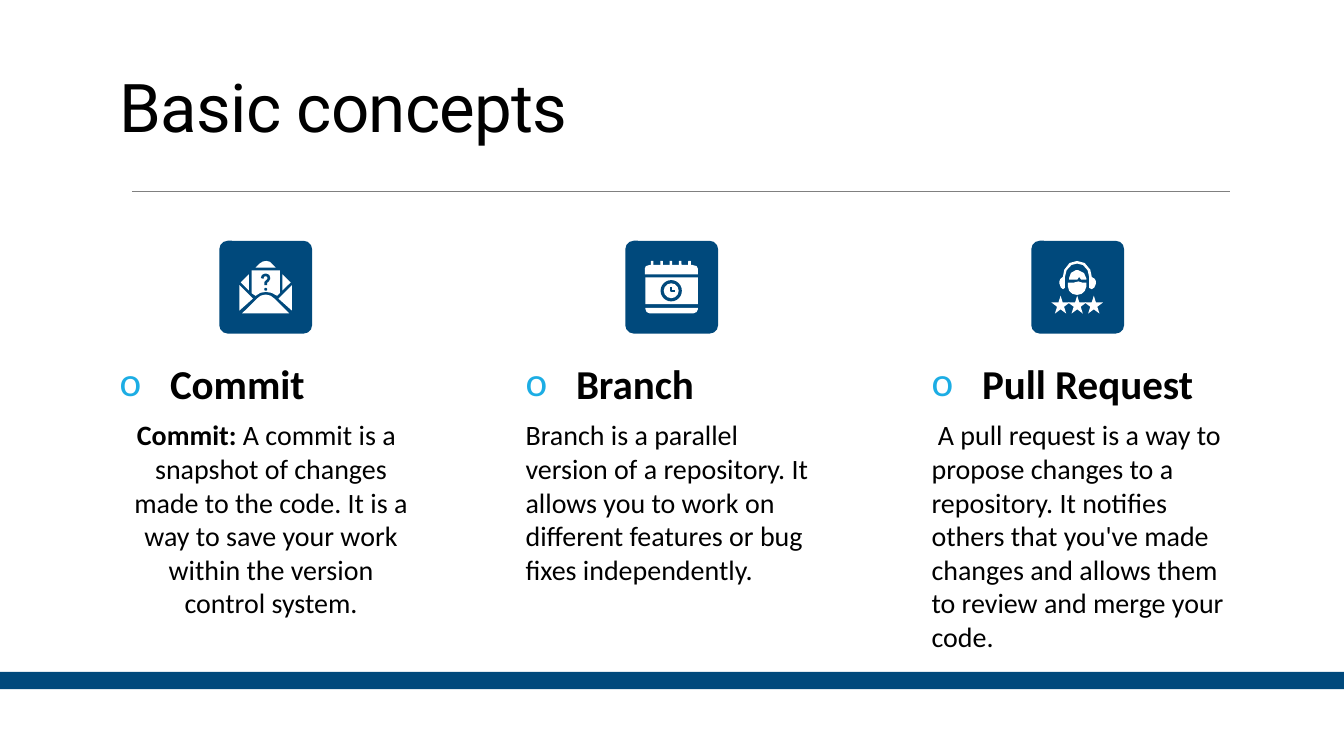
"""Build the "Basic concepts" slide with three icon columns."""
from lxml import etree
from pptx import Presentation
from pptx.dml.color import RGBColor
from pptx.enum.shapes import MSO_CONNECTOR, MSO_SHAPE
from pptx.enum.text import MSO_ANCHOR, MSO_AUTO_SIZE, PP_ALIGN
from pptx.oxml.ns import qn
from pptx.util import Pt

RECT, ROUND = MSO_SHAPE.RECTANGLE, MSO_SHAPE.ROUNDED_RECTANGLE
OVAL, STAR = MSO_SHAPE.OVAL, MSO_SHAPE.STAR_5_POINT
STRAIGHT = MSO_CONNECTOR.STRAIGHT
TOP, BOTTOM = MSO_ANCHOR.TOP, MSO_ANCHOR.BOTTOM
LEFT, CENTER = PP_ALIGN.LEFT, PP_ALIGN.CENTER
NO_FIT = MSO_AUTO_SIZE.NONE

COLORS = {"navy": "00497C", "white": "FFFFFF", "black": "000000",
          "grey": "808080", "bullet": "1CADE4"}
COL_LEFT, COL_STEP, COL_WIDTH = 57, 217.5, 171.5
TILE_OFFSET, TILE_TOP, TILE_SIZE = 60.5, 129, 49.7

TITLE = {"name": "Roboto", "size": Pt(36), "bold": False}
HEADING = {"name": "Calibri", "size": Pt(22), "bold": True}
BODY = {"name": "Calibri", "size": Pt(15), "bold": False}
BODY_BOLD = {**BODY, "bold": True}

ENVELOPE = [
    [(17.3, 15.8), (32.4, 15.8), (32.4, 28.1), (31, 29.5), (28, 27.9),
     (24.9, 27.4), (22, 27.9), (19.4, 29.5), (17.3, 28.1)],
    [(38.9, 23.8), (31.7, 31), (38.9, 37.4)],
    [(10.8, 23.8), (18, 31), (10.8, 37.4)],
    [(12.2, 38.9), (20.2, 31), (22.2, 29.4), (24.8, 28.8), (27.4, 29.4),
     (29.5, 31), (37.4, 38.9)],
    [(15.8, 18), (11.5, 22.3), (15.8, 26.6)],
    [(33.8, 18), (38.2, 22.3), (33.8, 26.6)],
    [(19.4, 14.4), (21.6, 12.2), (23.3, 11.1), (25.2, 10.8), (27, 11.2),
     (28.1, 12.2), (30.2, 14.4)],
]
QUESTION = [(22.9, 20.2), (23.4, 18.8), (24.8, 18.2), (26.2, 18.8),
            (26.6, 20.2), (25.9, 21.4), (24.9, 22.2), (24.9, 23.8)]
CALENDAR = [
    [(10.8, 36), (38.9, 36), (38.9, 36.7), (38.2, 38.2), (36.5, 38.9),
     (13, 38.9), (11.4, 38.2), (10.8, 36.7)],
    [(10.4, 18), (10.4, 15.1), (11, 13.6), (13, 13), (36, 13),
     (38.2, 13.6), (38.9, 15.1), (38.9, 18)],
]
CLOCK_HANDS = [(24.5, 24.9), (24.5, 26.8), (26.6, 26.8)]
AGENT = [
    [(16.9, 19.4), (17.7, 15.5), (20.5, 11.9), (24.5, 10.8), (28.6, 11.9),
     (31.6, 15.5), (32.4, 19.4), (34, 20.4), (34.6, 21.6), (34.6, 23),
     (33.8, 25), (32.4, 25.9), (31, 25.2), (31, 19.4), (30.2, 15.8),
     (27.7, 13), (24.5, 12.2), (21.5, 13), (18.9, 15.8), (18, 19.4),
     (18, 25.2), (17, 25.9), (15.8, 25), (15.1, 23), (15.1, 21.6),
     (15.6, 20.4)],
    [(20.2, 20.9), (20.2, 20.2), (21.2, 17.3), (23.8, 15.8), (25.2, 15.8),
     (28.2, 17.3), (29.5, 20.2), (29.5, 20.9), (26.8, 20.9), (25.6, 19.4),
     (24.6, 20.9)],
    [(19.6, 22.5), (22.5, 22.5), (25.2, 21.8), (27.5, 22.5), (29.5, 22.5),
     (29.5, 24.5), (28.7, 26.9), (26.9, 28.5), (24.5, 29), (22.1, 28.5),
     (20.3, 26.9), (19.6, 24.5)],
]

COLUMNS = [
    ("Commit", [("Commit:", BODY_BOLD),
                (" A commit is a snapshot of changes made to the code. It is a "
                 "way to save your work within the version control system.", BODY)],
     CENTER),
    ("Branch", [("Branch is a parallel version of a repository. It allows you to "
                 "work on different features or bug fixes independently.", BODY)],
     LEFT),
    ("Pull Request", [(" A pull request is a way to propose changes to a "
                       "repository. It notifies others that you've made changes "
                       "and allows them to review and merge your code.", BODY)],
     LEFT),
]


def rgb(name):
    return RGBColor.from_string(COLORS[name])


def place(sp, *box):
    for attr, value in zip(("left", "top", "width", "height"), box):
        setattr(sp, attr, Pt(value))


def paint(sp, color):
    sp.shadow.inherit = False
    sp.fill.solid()
    sp.fill.fore_color.rgb = rgb(color)
    sp.line.fill.background()


def add_block(shapes, kind, box, color):
    sp = shapes.add_shape(kind, *map(Pt, box))
    paint(sp, color)
    return sp


def add_rule(shapes, x1, x2, y):
    line = shapes.add_connector(STRAIGHT, Pt(x1), Pt(y), Pt(x2), Pt(y))
    line.line.color.rgb = rgb("grey")
    line.line.width = Pt(0.5)
    etree.SubElement(line._element.spPr, qn("a:effectLst"))


def add_outline(shapes, points, x, y, closed=True):
    path = [(round((x + px) * 100), round((y + py) * 100)) for px, py in points]
    builder = shapes.build_freeform(*path[0], scale=Pt(1) / 100)
    builder.add_line_segments(path[1:], close=closed)
    sp = builder.convert_to_shape()
    paint(sp, "white")
    if not closed:
        sp.fill.background()
        sp.line.color.rgb = rgb("navy")
        sp.line.width = Pt(1.4)


def fill_text(sp, runs, align, anchor=TOP):
    tf = sp.text_frame
    frame = {"word_wrap": True, "auto_size": NO_FIT, "vertical_anchor": anchor,
             "margin_left": Pt(7.2), "margin_right": Pt(7.2),
             "margin_top": Pt(7.2), "margin_bottom": Pt(7.2)}
    for attr, value in frame.items():
        setattr(tf, attr, value)
    p = tf.paragraphs[0]
    p.alignment = align
    for text, style in runs:
        r = p.add_run()
        r.text = text
        for attr, value in style.items():
            setattr(r.font, attr, value)
        r.font.color.rgb = rgb("black")
    return p


def hang(p, points):
    pPr = p._p.get_or_add_pPr()
    pPr.set("marL", str(Pt(points)))
    pPr.set("indent", str(-Pt(points)))
    return pPr


def add_bullet(p):
    pPr = hang(p, 27)
    color = etree.SubElement(pPr, qn("a:buClr"))
    etree.SubElement(color, qn("a:srgbClr"), val=COLORS["bullet"])
    etree.SubElement(pPr, qn("a:buFont"), typeface="Calibri")
    etree.SubElement(pPr, qn("a:buChar"), char="o")


def add_title(slide, text):
    sp = slide.shapes.title
    place(sp, 57, 34.5, 607, 42)
    p = fill_text(sp, [(text, TITLE)], LEFT)
    p.line_spacing = 0.85
    p.runs[0].font._element.set("spc", "-40")


def draw_envelope(shapes, x, y):
    for points in ENVELOPE:
        add_outline(shapes, points, x, y)
    add_outline(shapes, QUESTION, x, y, closed=False)
    add_block(shapes, OVAL, (x + 24.1, y + 25.2, 1.6, 1.6), "navy")


def draw_calendar(shapes, x, y):
    for points in CALENDAR:
        add_outline(shapes, points, x, y)
    for i in range(5):
        add_block(shapes, ROUND, (x + 13.7 + 5 * i, y + 10.8, 1.4, 3), "white")
    add_block(shapes, RECT, (x + 10.8, y + 19.6, 28.1, 14.4), "white")
    add_block(shapes, OVAL, (x + 18.9, y + 21.1, 11.4, 11.4), "navy")
    add_block(shapes, OVAL, (x + 20.6, y + 22.8, 8, 8), "white")
    add_outline(shapes, CLOCK_HANDS, x, y, closed=False)


def draw_agent(shapes, x, y):
    for points in AGENT:
        add_outline(shapes, points, x, y)
    for i in range(3):
        add_block(shapes, STAR, (x + 10.8 + 8.9 * i, y + 29.4, 9.8, 9.6), "white")


def add_column(slide, left, heading, runs, align, draw_icon):
    sp = slide.shapes.add_textbox(*map(Pt, (left, 216.7, COL_WIDTH, 133.2)))
    p = fill_text(sp, runs, align)
    if align == CENTER:
        hang(p, 5)
    sp = slide.shapes.add_textbox(*map(Pt, (left, 188, COL_WIDTH, 37.4)))
    add_bullet(fill_text(sp, [(heading, HEADING)], LEFT, BOTTOM))
    x = left + TILE_OFFSET
    tile = add_block(slide.shapes, ROUND, (x, TILE_TOP, TILE_SIZE, TILE_SIZE), "navy")
    tile.adjustments[0] = 0.09
    draw_icon(slide.shapes.add_group_shape().shapes, x, TILE_TOP)


def main():
    prs = Presentation()
    prs.slide_width, prs.slide_height = Pt(720), Pt(405)
    slide = prs.slides.add_slide(prs.slide_layouts[5])
    add_rule(slide.shapes, 70.7, 659, 102.7)
    add_block(slide.shapes, RECT, (0, 360, 720, 9.2), "navy")
    add_title(slide, "Basic concepts")
    icons = (draw_envelope, draw_calendar, draw_agent)
    for i, (column, draw_icon) in enumerate(zip(COLUMNS, icons)):
        add_column(slide, COL_LEFT + i * COL_STEP, *column, draw_icon)
    prs.save("out.pptx")


if __name__ == "__main__":
    main()
